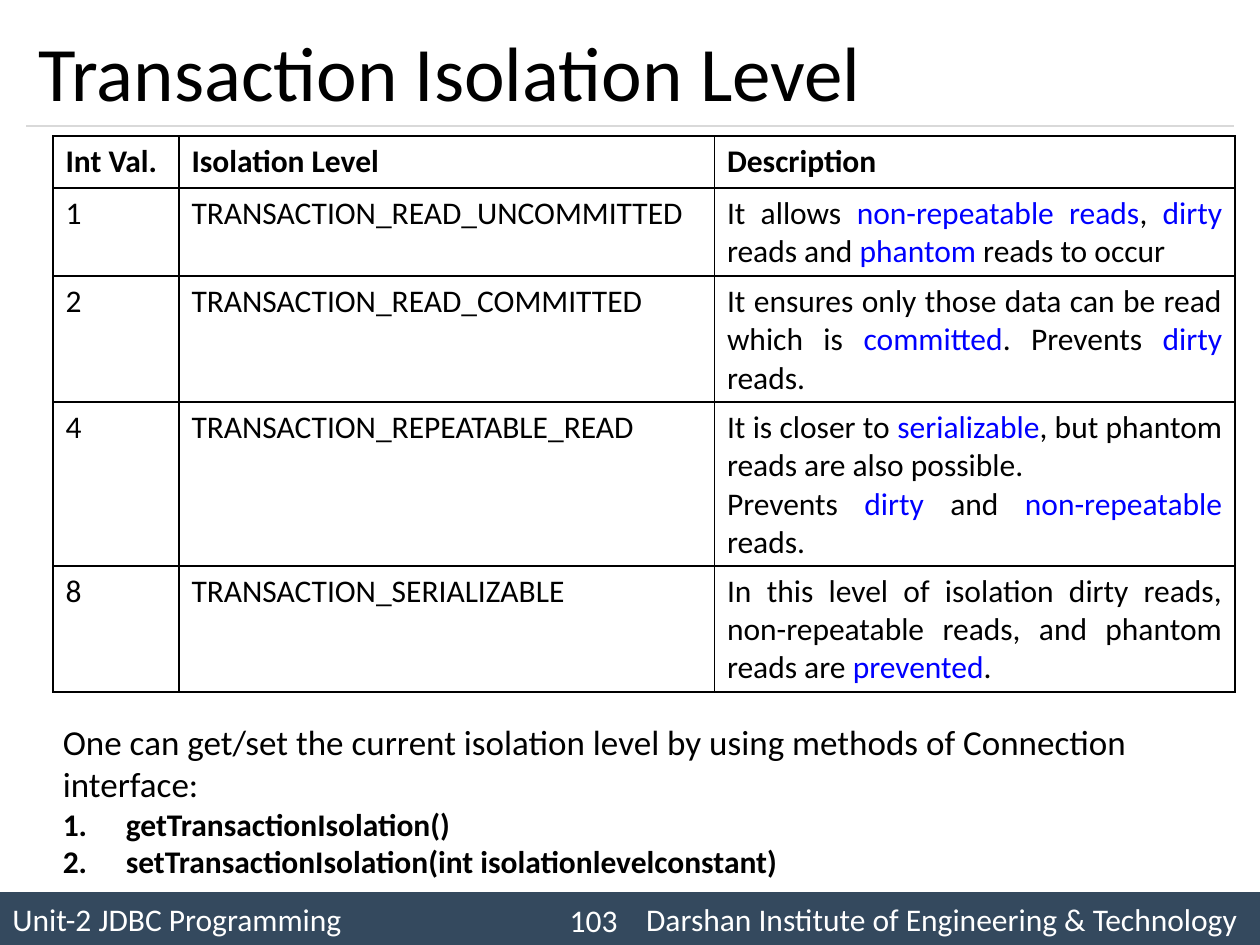
from lxml import etree
from pptx import Presentation
from pptx.dml.color import RGBColor
from pptx.enum import shapes, text
from pptx.oxml.ns import qn
from pptx.util import Inches, Pt

BLACK = RGBColor(0, 0, 0)
WHITE = RGBColor(255, 255, 255)
BLUE = RGBColor(0, 0, 255)
NAVY = RGBColor(0x34, 0x49, 0x5E)
GREY = RGBColor(0xD9, 0xD9, 0xD9)
FONT = "Calibri"
COLUMN_WIDTHS = [1, 4.25, 4.13]

# Row height and cell texts; words between asterisks are highlighted
HEADER = (0.41, ["Int Val.", "Isolation Level", "Description"])
LEVELS = [
    (0.7, ["1", "TRANSACTION_READ_UNCOMMITTED",
           "It allows *non-repeatable reads*, *dirty* reads and *phantom* reads to occur"]),
    (1, ["2", "TRANSACTION_READ_COMMITTED",
         "It ensures only those data can be read which is *committed*. Prevents *dirty* reads."]),
    (1.3, ["4", "TRANSACTION_REPEATABLE_READ",
           "It is closer to *serializable*, but phantom reads are also possible.\n"
           "Prevents *dirty* and *non-repeatable* reads."]),
    (1, ["8", "TRANSACTION_SERIALIZABLE",
         "In this level of isolation dirty reads, non-repeatable reads, "
         "and phantom reads are *prevented*."]),
]


def write_paragraph(paragraph, content, size=18, color=BLACK, bold=False, align=None):
    paragraph.alignment = align
    for index, part in enumerate(content.split("*")):
        if part:
            run = paragraph.add_run()
            run.text = part
            run.font.name = FONT
            run.font.size = Pt(size)
            run.font.bold = bold
            run.font.color.rgb = BLUE if index % 2 else color


def add_text(slide, left, top, width, height, content, anchor=text.MSO_ANCHOR.MIDDLE, **style):
    box = slide.shapes.add_textbox(Inches(left), Inches(top), Inches(width), Inches(height))
    frame = box.text_frame
    frame.word_wrap = True
    frame.vertical_anchor = anchor
    write_paragraph(frame.paragraphs[0], content, **style)
    return frame


def add_title(slide, left, top, width, height):
    add_text(slide, left, top, width, height, "Transaction Isolation Level", size=44)
    bottom = Inches(top + height)
    rule = slide.shapes.add_connector(
        shapes.MSO_CONNECTOR.STRAIGHT, Inches(left), bottom, Inches(left + width), bottom)
    rule.line.color.rgb = GREY
    rule.line.width = Pt(0.75)
    etree.SubElement(rule._element.spPr, qn("a:effectLst"))


def add_borders(cell):
    properties = cell._tc.get_or_add_tcPr()
    for side in ("lnL", "lnR", "lnT", "lnB"):
        line = etree.SubElement(properties, qn(f"a:{side}"), w=str(Pt(1)))
        fill = etree.SubElement(line, qn("a:solidFill"))
        etree.SubElement(fill, qn("a:srgbClr"), val=str(BLACK))


def add_row_table(slide, left, top, height, values, header=False):
    table = slide.shapes.add_table(
        1, len(values), Inches(left), Inches(top),
        Inches(sum(COLUMN_WIDTHS)), Inches(height)).table
    table.first_row = table.horz_banding = False
    for column, (width, value) in enumerate(zip(COLUMN_WIDTHS, values)):
        table.columns[column].width = Inches(width)
        cell = table.cell(0, column)
        add_borders(cell)
        cell.fill.background()
        is_description = column == 2 and not header
        align = text.PP_ALIGN.JUSTIFY if is_description else None
        frame = cell.text_frame
        for index, line in enumerate(value.split("\n")):
            paragraph = frame.add_paragraph() if index else frame.paragraphs[0]
            write_paragraph(paragraph, line, bold=header, align=align)


def add_levels(slide, left, top):
    # Each level is a one-row table stacked under the header
    for index, (height, values) in enumerate([HEADER] + LEVELS):
        add_row_table(slide, left, top, height, values, header=index == 0)
        top += height


def add_methods(slide, left, top, width, height):
    frame = add_text(
        slide, left, top, width, height,
        "One can get/set the current isolation level by using methods of Connection interface:",
        anchor=text.MSO_ANCHOR.TOP, size=20)
    for method in ("getTransactionIsolation()",
                   "setTransactionIsolation(int isolationlevelconstant)"):
        paragraph = frame.add_paragraph()
        properties = paragraph._p.get_or_add_pPr()
        properties.set("marL", str(Inches(0.5)))
        properties.set("indent", str(-Inches(0.5)))
        etree.SubElement(properties, qn("a:buFont"), typeface="+mj-lt")
        etree.SubElement(properties, qn("a:buAutoNum"), type="arabicPeriod")
        write_paragraph(paragraph, method, bold=True)


def add_footer(slide, left, top, width, height):
    bar = slide.shapes.add_shape(
        shapes.MSO_SHAPE.RECTANGLE, Inches(left), Inches(top), Inches(width), Inches(height))
    bar.shadow.inherit = False
    bar.fill.solid()
    bar.fill.fore_color.rgb = NAVY
    bar.line.fill.background()
    bar.text_frame.vertical_anchor = text.MSO_ANCHOR.MIDDLE
    paragraph = bar.text_frame.paragraphs[0]
    tabs = etree.SubElement(paragraph._p.get_or_add_pPr(), qn("a:tabLst"))
    etree.SubElement(tabs, qn("a:tab"), pos=str(Inches(5.03)), algn="l")
    write_paragraph(
        paragraph,
        "Unit-2 JDBC Programming\tDarshan Institute of Engineering & Technology",
        color=WHITE, align=text.PP_ALIGN.LEFT)
    # Slide number
    add_text(slide, left + 4.17, top + 0.02, 0.83, 0.4, "103",
             color=WHITE, align=text.PP_ALIGN.RIGHT)


def main():
    presentation = Presentation()
    presentation.slide_width = Inches(10)
    presentation.slide_height = Inches(7.5)
    slide = presentation.slides.add_slide(presentation.slide_layouts[6])
    add_footer(slide, 0, 7.08, 10, 0.42)
    add_title(slide, 0.21, 0.12, 9.58, 0.88)
    add_levels(slide, 0.42, 1.08)
    add_methods(slide, 0.4, 5.67, 9.42, 1.38)
    presentation.save("out.pptx")


if __name__ == "__main__":
    main()
